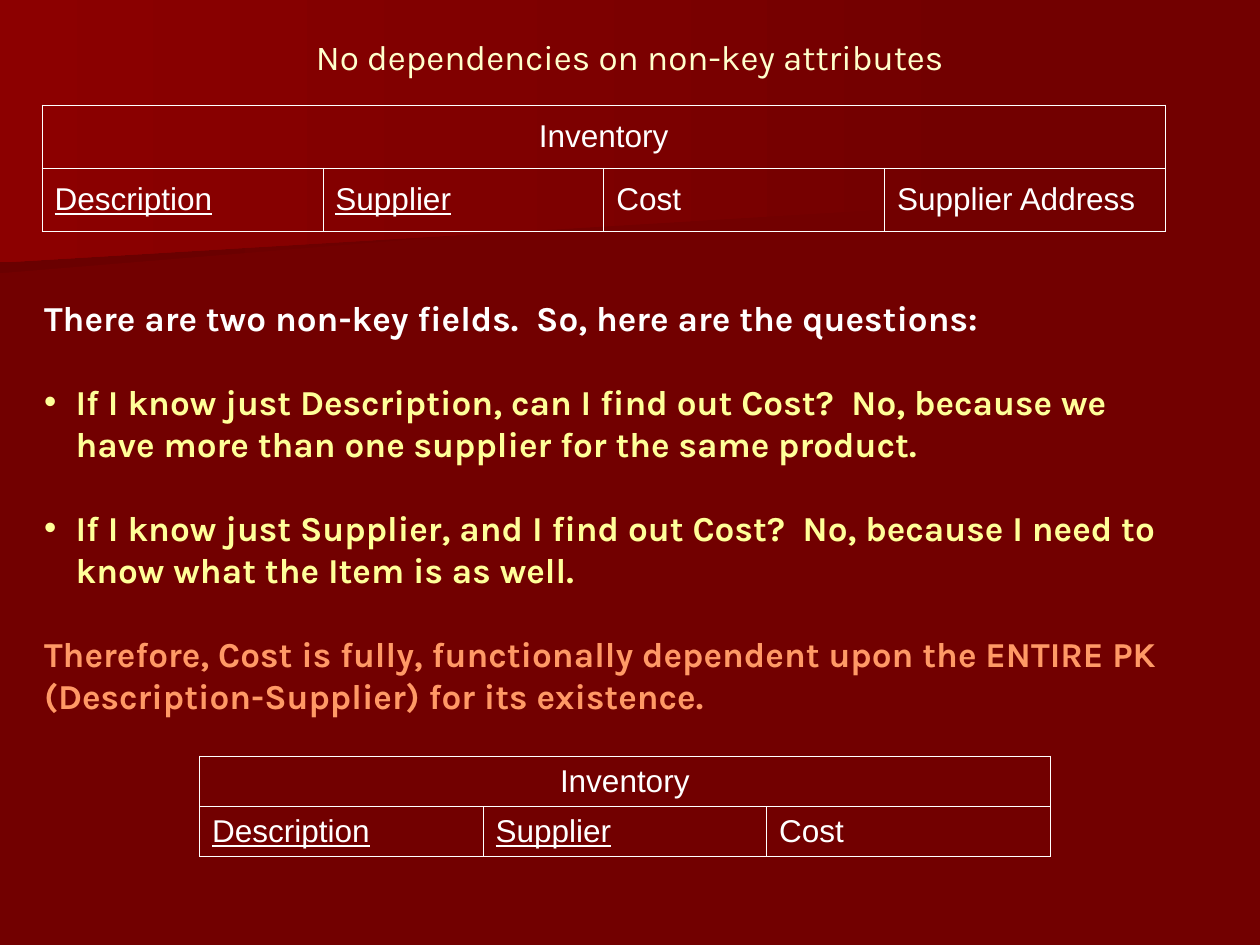
from dataclasses import dataclass

from lxml import etree
from pptx import Presentation
from pptx.dml.color import RGBColor
from pptx.enum import text as t
from pptx.oxml import ns
from pptx.util import Pt


@dataclass(frozen=True)
class Theme:
    back: str = "720000"
    dark: str = "6A0000"
    glow: str = "8C0000"
    white: str = "FFFFFF"
    cream: str = "FFFFCC"
    lemon: str = "FFFF99"
    peach: str = "FF9966"
    head: str = "Karla"
    grid: str = "Arial"
    big: int = 20
    small: int = 18
    rule: float = 0.45


@dataclass(frozen=True)
class Band:
    points: tuple
    end: str


@dataclass(frozen=True)
class Grid:
    left: float
    top: float
    col: float
    row: float
    name: str
    keys: tuple
    fields: tuple


@dataclass(frozen=True)
class Para:
    words: str
    color: str
    bullet: bool = False


LOOK = Theme()
GAP = 24
INDENT = 18

BANDS = (
    Band(((0, 72.5), (561, 72.5), (560, 110), (0, 156)), LOOK.dark),
    Band(((0, 0), (570, 0), (570, 116.5), (0, 150)), LOOK.glow),
)
GRIDS = (
    Grid(24, 60, 160.5, 36, "Inventory", ("Description", "Supplier"),
         ("Cost", "Supplier Address")),
    Grid(114, 432, 162, 28.8, "Inventory", ("Description", "Supplier"),
         ("Cost",)),
)
PARAS = (
    Para("There are two non-key fields.  So, here are the questions:",
         LOOK.white),
    Para("If I know just Description, can I find out Cost?  No, because we "
         "have more than one supplier for the same product.",
         LOOK.lemon, True),
    Para("If I know just Supplier, and I find out Cost?  No, because I need "
         "to know what the Item is as well.", LOOK.lemon, True),
    Para("Therefore, Cost is fully, functionally dependent upon the ENTIRE "
         "PK (Description-Supplier) for its existence.", LOOK.peach),
)


def apply(item, form: dict) -> None:
    for key, value in form.items():
        setattr(item, key, value)


def sub(node, tag: str, **attrs: str):
    return etree.SubElement(node, ns.qn(tag), attrs)


def write(para, words: str, face: str, size: int, color: str, **form) -> None:
    run = para.add_run()
    run.text = words
    apply(run.font, dict(name=face, size=Pt(size), **form))
    run.font.color.rgb = RGBColor.from_string(color)


def place(shape, left: float, top: float, width: float, height: float):
    """Set the box of a placeholder and return its text frame."""
    apply(shape, dict(left=Pt(left), top=Pt(top),
                      width=Pt(width), height=Pt(height)))
    frame = shape.text_frame
    apply(frame, dict(word_wrap=True, auto_size=t.MSO_AUTO_SIZE.NONE,
                      vertical_anchor=t.MSO_ANCHOR.MIDDLE))
    return frame


def draw_band(slide, band: Band, depth: int) -> None:
    first, *rest = band.points
    pen = slide.shapes.build_freeform(*first, scale=float(Pt(1)))
    pen.add_line_segments(rest)
    shape = pen.convert_to_shape()
    shape.shadow.inherit = False
    shape.line.fill.background()
    shape.fill.gradient()
    shape.fill.gradient_angle = 180
    for stop, color in zip(shape.fill.gradient_stops, (LOOK.back, band.end)):
        stop.color.rgb = RGBColor.from_string(color)
    # Behind the placeholders, after the two property nodes of the tree
    slide.shapes._spTree.insert(2 + depth, shape._element)


def edge(cell) -> None:
    """Draw a thin rule on each side of an unfilled cell."""
    props = cell._tc.get_or_add_tcPr()
    for side in ("a:lnL", "a:lnR", "a:lnT", "a:lnB"):
        line = sub(props, side, w=str(Pt(LOOK.rule)))
        sub(sub(line, "a:solidFill"), "a:srgbClr", val=LOOK.white)
    cell.fill.background()


def draw_grid(slide, grid: Grid) -> None:
    names = grid.keys + grid.fields
    count = len(names)
    table = slide.shapes.add_table(
        2, count, Pt(grid.left), Pt(grid.top),
        Pt(grid.col * count), Pt(grid.row * 2)).table
    apply(table, dict(first_row=False, horz_banding=False))
    for cell in table.iter_cells():
        edge(cell)
        cell.vertical_anchor = t.MSO_ANCHOR.MIDDLE
    head = table.cell(0, 0)
    head.merge(table.cell(0, count - 1))
    para = head.text_frame.paragraphs[0]
    para.alignment = t.PP_ALIGN.CENTER
    write(para, grid.name, LOOK.grid, LOOK.small, LOOK.white)
    for col, name in enumerate(names):
        para = table.cell(1, col).text_frame.paragraphs[0]
        write(para, name, LOOK.grid, LOOK.small, LOOK.white,
              underline=name in grid.keys)


def draw_title(slide) -> None:
    frame = place(slide.shapes.title, 36, 21.6, 648, 21)
    para = frame.paragraphs[0]
    para.alignment = t.PP_ALIGN.CENTER
    write(para, "No dependencies on non-key attributes",
          LOOK.head, LOOK.big, LOOK.cream)


def draw_body(slide) -> None:
    frame = place(slide.placeholders[1], 18, 165.6, 654, 247.7)
    for pos, item in enumerate(PARAS):
        para = frame.add_paragraph() if pos else frame.paragraphs[0]
        apply(para, dict(alignment=t.PP_ALIGN.LEFT, line_spacing=1.0,
                         space_before=Pt(GAP if pos else 0),
                         space_after=Pt(0)))
        props = para._p.get_or_add_pPr()
        pad = Pt(INDENT) if item.bullet else 0
        props.set("marL", str(pad))
        props.set("indent", str(-pad))
        if item.bullet:
            sub(sub(props, "a:buClr"), "a:srgbClr", val=item.color)
            sub(props, "a:buFont", typeface=LOOK.grid)
            sub(props, "a:buChar", char="•")
        else:
            sub(props, "a:buNone")
        write(para, item.words, LOOK.head, LOOK.big, item.color, bold=True)


def main() -> None:
    deck = Presentation()
    apply(deck, dict(slide_width=Pt(720), slide_height=Pt(540)))
    slide = deck.slides.add_slide(deck.slide_layouts[1])
    fill = slide.background.fill
    fill.solid()
    fill.fore_color.rgb = RGBColor.from_string(LOOK.back)
    for depth, band in enumerate(BANDS):
        draw_band(slide, band, depth)
    draw_title(slide)
    for grid in GRIDS:
        draw_grid(slide, grid)
    draw_body(slide)
    deck.save("out.pptx")


if __name__ == "__main__":
    main()
